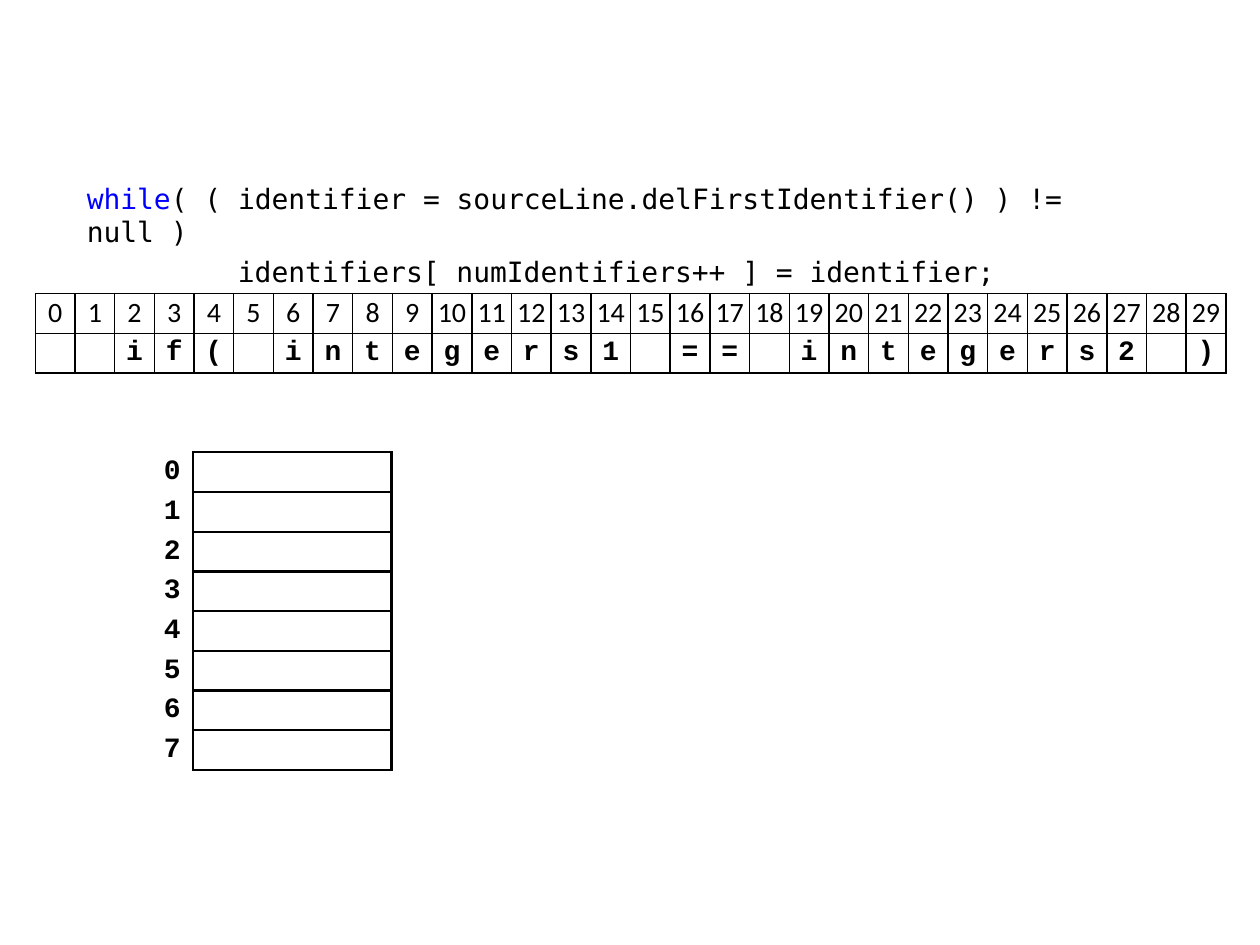
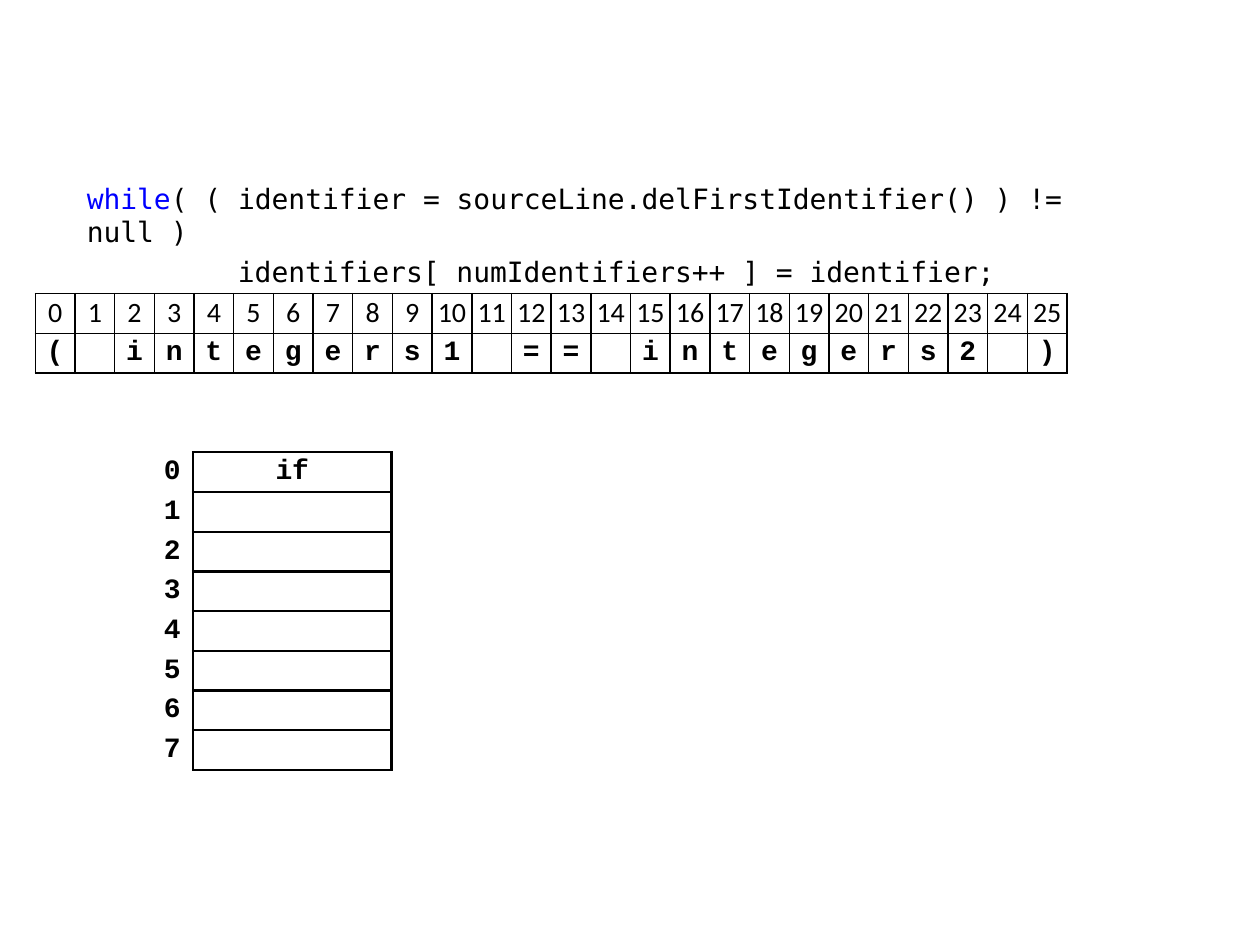
from dataclasses import dataclass

from lxml.etree import SubElement
from pptx import Presentation
from pptx.dml.color import RGBColor
from pptx.enum.text import MSO_ANCHOR, PP_ALIGN
from pptx.oxml.ns import qn
from pptx.slide import Slide
from pptx.table import Table, _Cell
from pptx.util import Inches, Pt

BLACK = "000000"
KEYWORD_BLUE = "0000FF"
CODE_FONT = "DejaVu Sans Mono"
INDEX_FONT = "Calibri"
CHARACTER_FONT = "Courier New"
TEXT_SIZE = Pt(16)
UNIT = Inches(0.63) // 2
ARRAY_SIZE = 8
PLAIN_STYLE = "{2D5ABB26-0587-4C30-8999-92F81FD0307C}"


@dataclass
class Step:
    source_line: str
    identifiers: tuple[str, ...] = ()


@dataclass
class CellStyle:
    font: str
    bold: bool
    align: PP_ALIGN
    side_margin: float
    borders: tuple[str, ...]
    border_width: float


ALL_SIDES = ("L", "R", "T", "B")
POSITION = CellStyle(INDEX_FONT, False, PP_ALIGN.CENTER, 0, ALL_SIDES, 1)
CHARACTER = CellStyle(CHARACTER_FONT, True, PP_ALIGN.CENTER, 0, ALL_SIDES, 1)
ARRAY_INDEX = CellStyle(CHARACTER_FONT, True, PP_ALIGN.RIGHT, 0.1, ("R",), 1.5)
ARRAY_ENTRY = CellStyle(CHARACTER_FONT, True, PP_ALIGN.CENTER, 0.1, ALL_SIDES, 1.5)

STEPS = (
    Step("  if( integers1 == integers2 )"),
    Step("( integers1 == integers2 )", ("if",)),
)


def color(value: str) -> RGBColor:
    return RGBColor.from_string(value)


def add_border(cell: _Cell, side: str, width: float) -> None:
    line = SubElement(cell._tc.get_or_add_tcPr(), qn(f"a:ln{side}"), w=str(Pt(width)))
    fill = SubElement(line, qn("a:solidFill"))
    SubElement(fill, qn("a:srgbClr"), val=BLACK)


def fill_cell(cell: _Cell, text: str, style: CellStyle) -> None:
    cell.margin_left = cell.margin_right = Inches(style.side_margin)
    cell.margin_top = cell.margin_bottom = 0
    cell.vertical_anchor = MSO_ANCHOR.MIDDLE
    paragraph = cell.text_frame.paragraphs[0]
    paragraph.alignment = style.align
    paragraph.font.size = TEXT_SIZE
    paragraph.font.name = style.font
    paragraph.font.bold = style.bold
    paragraph.font.color.rgb = color(BLACK)
    if text:
        paragraph.add_run().text = text
    for side in style.borders:
        add_border(cell, side, style.border_width)
    cell.fill.background()


def add_grid(slide: Slide, left: float, top: float, rows: int, widths: list[int]) -> Table:
    table = slide.shapes.add_table(
        rows, len(widths), Inches(left), Inches(top), sum(widths), rows * UNIT
    ).table
    table.first_row = table.horz_banding = False
    table._tbl.tblPr.find(qn("a:tableStyleId")).text = PLAIN_STYLE
    for column, width in zip(table.columns, widths):
        column.width = width
    for row in table.rows:
        row.height = UNIT
    return table


def add_loop_code(slide: Slide) -> None:
    frame = slide.shapes.add_textbox(
        Inches(0.59), Inches(1.39), Inches(8.82), Inches(0.63)
    ).text_frame
    frame.word_wrap = True
    frame.margin_right = Inches(0.4)
    condition, body = frame.paragraphs[0], frame.add_paragraph()
    for paragraph in (condition, body):
        paragraph.space_before = Pt(3.2)
        paragraph.font.size = TEXT_SIZE
        paragraph.font.name = CODE_FONT
        paragraph.font.color.rgb = color(BLACK)
    keyword = condition.add_run()
    keyword.text = "while"
    keyword.font.color.rgb = color(KEYWORD_BLUE)
    condition.add_run().text = (
        "( ( identifier = sourceLine.delFirstIdentifier() ) != null )"
    )
    body.add_run().text = "identifiers[ numIdentifiers++ ] = identifier;"
    body._p.get_or_add_pPr().set("marL", str(Inches(1.2)))


def add_source_line(slide: Slide, source_line: str) -> None:
    table = add_grid(slide, 0.28, 2.33, 2, [UNIT] * len(source_line))
    for position, character in enumerate(source_line):
        fill_cell(table.cell(0, position), str(position), POSITION)
        fill_cell(table.cell(1, position), character.strip(), CHARACTER)


def add_identifiers(slide: Slide, identifiers: tuple[str, ...]) -> None:
    table = add_grid(slide, 1.06, 3.59, ARRAY_SIZE, [UNIT * 3 // 2, UNIT * 5])
    for index in range(ARRAY_SIZE):
        entry = identifiers[index] if index < len(identifiers) else ""
        fill_cell(table.cell(index, 0), str(index), ARRAY_INDEX)
        fill_cell(table.cell(index, 1), entry, ARRAY_ENTRY)


def main() -> None:
    presentation = Presentation()
    presentation.slide_width = Inches(10)
    presentation.slide_height = Inches(7.5)
    for step in STEPS:
        slide = presentation.slides.add_slide(presentation.slide_layouts[6])
        add_loop_code(slide)
        add_source_line(slide, step.source_line)
        add_identifiers(slide, step.identifiers)
    presentation.save("out.pptx")


main()
